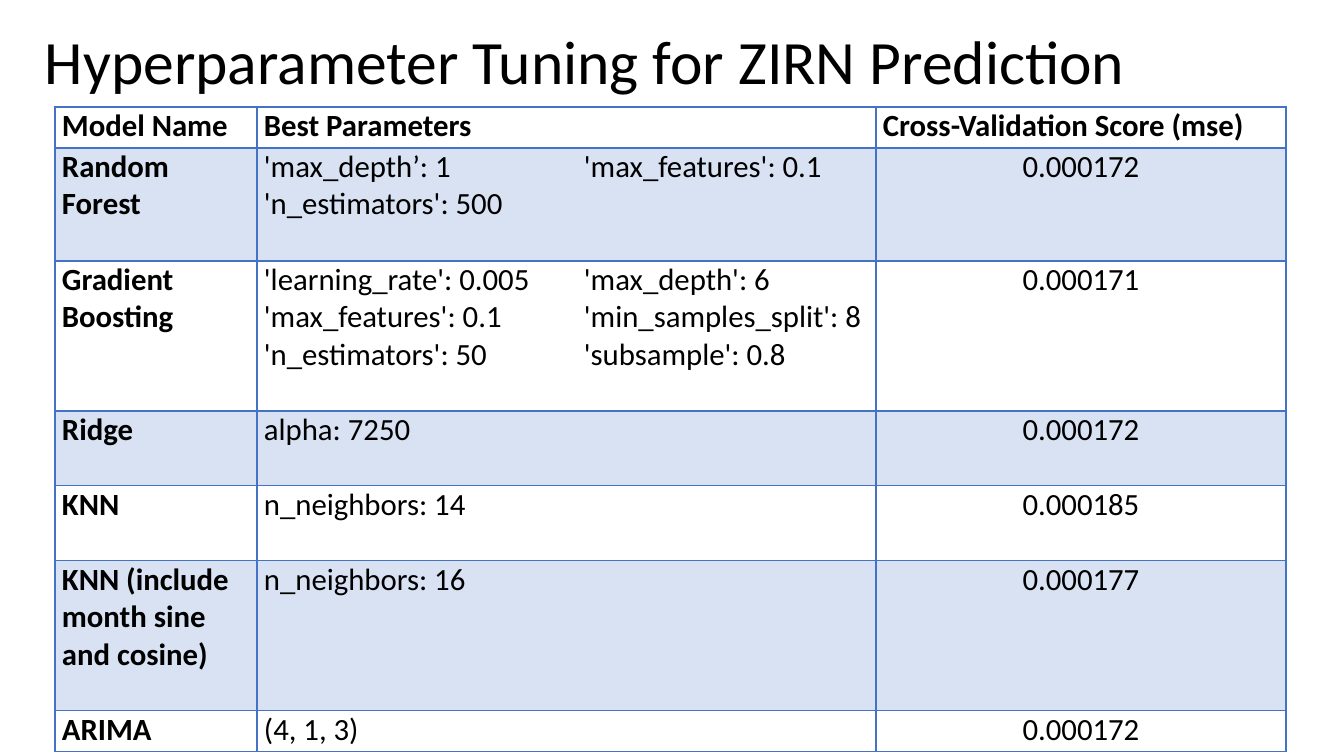
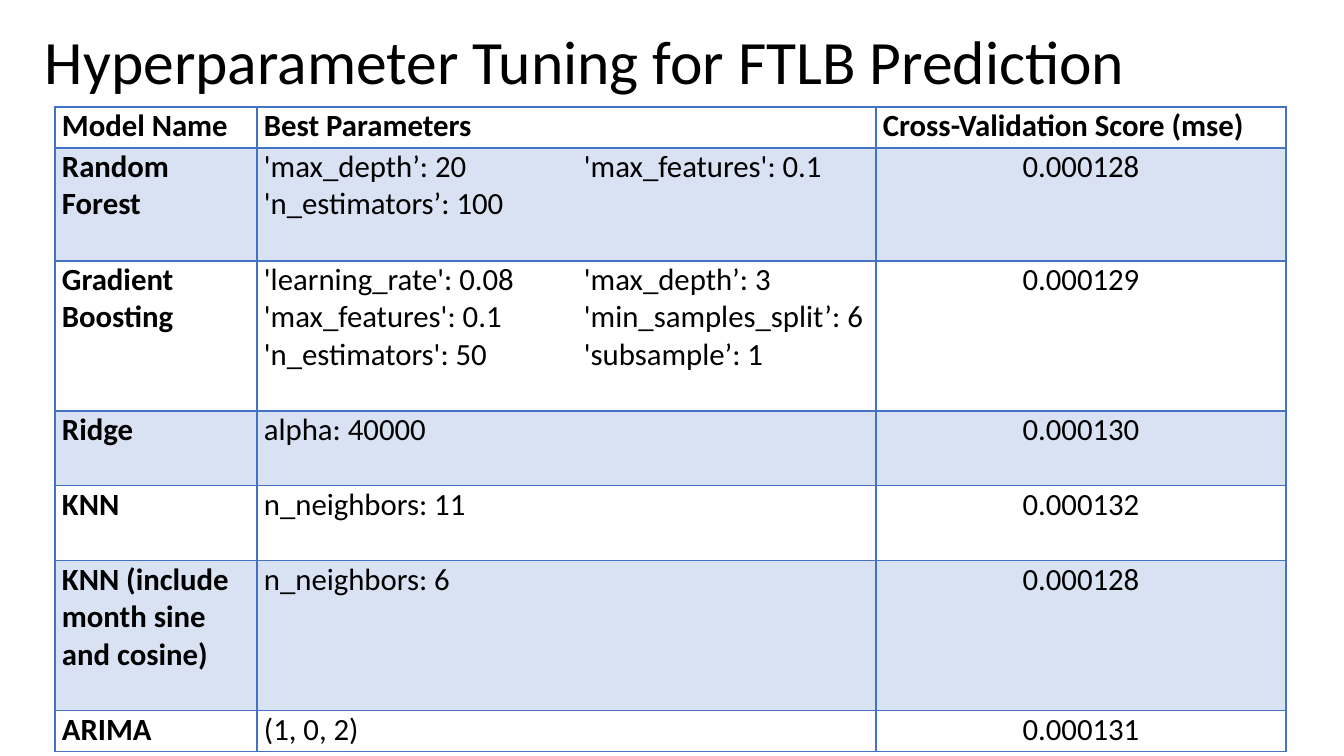
"""Two slides of hyperparameter tuning results, one table each."""
from dataclasses import dataclass

from lxml import etree
from pptx import Presentation
from pptx import util as u
from pptx.dml.color import RGBColor
from pptx.enum import text
from pptx.oxml.ns import qn

PX = 12192000 / 1344
FONT = "Calibri"
BLACK, WHITE, BLUE = "000000", "FFFFFF", "4472C4"
BAND_ALPHA = 20
TITLE_BOX = (35, 24, 1273, 81)
TABLE_LEFT, TABLE_TOP = 55, 107
COL_WIDTHS = (202, 619, 410)
ROW_HEIGHTS = (41, 113, 150, 75, 75, 150, 41)
CELL_INSET = 7
TAB_STOP = 320
HEADER = ("Model Name", "Best Parameters", "Cross-Validation Score (mse)")
MODELS = ("Random Forest", "Gradient Boosting", "Ridge", "KNN",
          "KNN (include month sine and cosine)", "ARIMA")


@dataclass(frozen=True)
class Result:
    """Best parameters, one string per line, and the score of a model."""
    params: tuple[str, ...]
    score: str


@dataclass(frozen=True)
class Tuning:
    """One slide: the predicted stock and a result for each model."""
    stock: str
    results: tuple[Result, ...]


TUNINGS = (
    Tuning("ZIRN", (
        Result(("'max_depth’: 1\t'max_features': 0.1",
                "'n_estimators': 500"), "0.000172"),
        Result(("'learning_rate': 0.005\t'max_depth': 6",
                "'max_features': 0.1\t'min_samples_split': 8",
                "'n_estimators': 50\t'subsample': 0.8"), "0.000171"),
        Result(("alpha: 7250",), "0.000172"),
        Result(("n_neighbors: 14",), "0.000185"),
        Result(("n_neighbors: 16",), "0.000177"),
        Result(("(4, 1, 3)",), "0.000172"),
    )),
    Tuning("FTLB", (
        Result(("'max_depth’: 20\t'max_features': 0.1",
                "'n_estimators’: 100"), "0.000128"),
        Result(("'learning_rate': 0.08\t'max_depth’: 3",
                "'max_features': 0.1\t'min_samples_split’: 6",
                "'n_estimators': 50\t'subsample’: 1"), "0.000129"),
        Result(("alpha: 40000",), "0.000130"),
        Result(("n_neighbors: 11",), "0.000132"),
        Result(("n_neighbors: 6",), "0.000128"),
        Result(("(1, 0, 2)",), "0.000131"),
    )),
)


def px(n: float) -> u.Emu:
    """Turn pixels into EMU."""
    return u.Emu(round(n * PX))


def rgb(value: str) -> RGBColor:
    """Turn a hex string into a colour."""
    return RGBColor.from_string(value)


def add_run(p, words: str, size: int, bold: bool = False) -> None:
    """Add one styled run to a paragraph."""
    r = p.add_run()
    r.text = words
    r.font.name, r.font.size, r.font.bold = FONT, u.Pt(size), bold
    r.font.color.rgb = rgb(BLACK)


def add_title(s, words: str) -> None:
    """Add the slide title."""
    tf = s.shapes.add_textbox(*map(px, TITLE_BOX)).text_frame
    tf.word_wrap = True
    tf.vertical_anchor = text.MSO_ANCHOR.MIDDLE
    p = tf.paragraphs[0]
    p.line_spacing = 0.9
    add_run(p, words, 44)


def set_tab(p) -> None:
    """Give a paragraph the tab stop of the second parameter column."""
    tabs = etree.SubElement(p._p.get_or_add_pPr(), qn("a:tabLst"))
    etree.SubElement(tabs, qn("a:tab"), pos=str(px(TAB_STOP)), algn="l")


def set_borders(cell, top: int, bottom: int) -> None:
    """Draw the four cell borders; top and bottom widths are in points."""
    tc_pr = cell._tc.get_or_add_tcPr()
    widths = {"a:lnL": 1, "a:lnR": 1, "a:lnT": top, "a:lnB": bottom}
    for i, (tag, width) in enumerate(widths.items()):
        ln = etree.Element(qn(tag), w=str(u.Pt(width)))
        fill = etree.SubElement(ln, qn("a:solidFill"))
        etree.SubElement(fill, qn("a:srgbClr"), val=BLUE)
        tc_pr.insert(i, ln)


def set_fill(cell, banded: bool) -> None:
    """Fill a cell white, or with the transparent band colour."""
    cell.fill.solid()
    cell.fill.fore_color.rgb = rgb(BLUE if banded else WHITE)
    if banded:
        color = cell._tc.tcPr.find(".//" + qn("a:srgbClr"))
        etree.SubElement(color, qn("a:alpha"), val=str(BAND_ALPHA * 1000))


def fill_cell(cell, lines: tuple[str, ...], row: int, col: int) -> None:
    """Write and style one table cell."""
    cell.margin_left = cell.margin_right = px(CELL_INSET)
    cell.margin_top = cell.margin_bottom = 0
    tf = cell.text_frame
    for i, line in enumerate(lines):
        p = tf.add_paragraph() if i else tf.paragraphs[0]
        if row and col == 2:
            p.alignment = text.PP_ALIGN.CENTER
        if "\t" in line:
            set_tab(p)
        add_run(p, line, 22, bold=row == 0 or col == 0)
    set_fill(cell, banded=row % 2 == 1)
    set_borders(cell, top=2 if row == 1 else 1, bottom=2 if row == 0 else 1)


def add_results(s, results: tuple[Result, ...]) -> None:
    """Add the table of models, parameters and scores."""
    rows = [[(name,) for name in HEADER]]
    rows += [[(model,), res.params, (res.score,)]
             for model, res in zip(MODELS, results)]
    table = s.shapes.add_table(
        len(rows), len(HEADER), px(TABLE_LEFT), px(TABLE_TOP),
        px(sum(COL_WIDTHS)), px(sum(ROW_HEIGHTS))).table
    table.horz_banding = table.first_row = False
    for column, width in zip(table.columns, COL_WIDTHS):
        column.width = px(width)
    for i, (cells, height) in enumerate(zip(rows, ROW_HEIGHTS)):
        table.rows[i].height = px(height)
        for j, lines in enumerate(cells):
            fill_cell(table.cell(i, j), lines, i, j)


def main() -> None:
    """Build and save the presentation."""
    prs = Presentation()
    prs.slide_width, prs.slide_height = px(1344), px(756)
    for tuning in TUNINGS:
        s = prs.slides.add_slide(prs.slide_layouts[6])
        add_title(s, f"Hyperparameter Tuning for {tuning.stock} Prediction")
        add_results(s, tuning.results)
    prs.save("out.pptx")


main()
